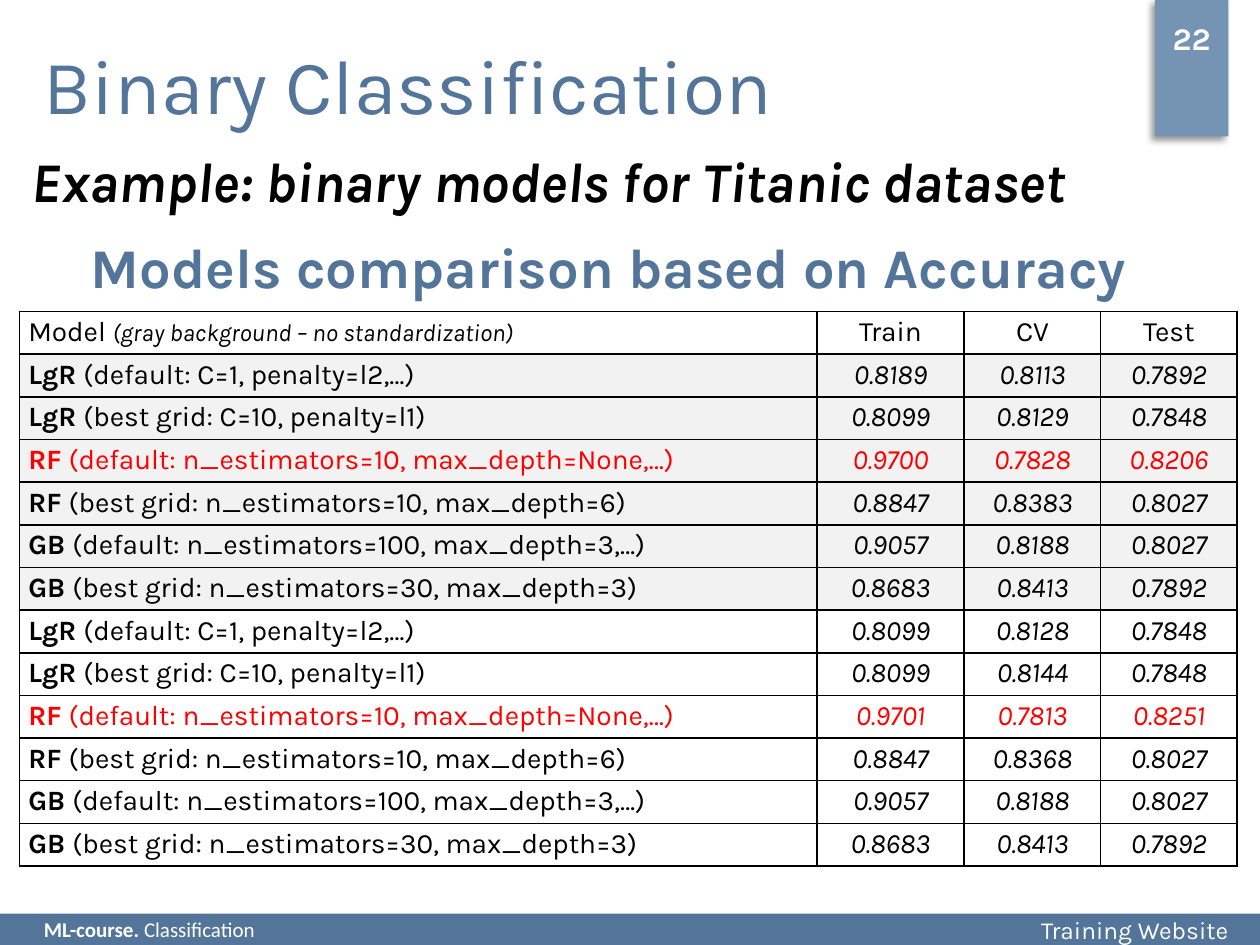
"""Build a slide comparing the accuracy of binary classification models."""
from lxml import etree
from pptx import Presentation
from pptx import util as u
from pptx.dml.color import RGBColor
from pptx.enum import shapes, text
from pptx.oxml import ns

COLORS = {
    "navy": "54759A", "steel": "7593B3", "white": "FFFFFF",
    "black": "000000", "red": "FF0000", "gray": "F2F2F2",
}
ALIGN = text.PP_ALIGN
MIDDLE = text.MSO_ANCHOR.MIDDLE
COLUMN_WIDTHS = (455.8, 84.2, 78, 78)
ROW_HEIGHT = 24.1
HEADINGS = ("Train", "CV", "Test")
MODELS = (
    ("LgR", "(default: C=1, penalty=l2,…)"),
    ("LgR", "(best grid: C=10, penalty=l1)"),
    ("RF", "(default: n_estimators=10, max_depth=None,…)"),
    ("RF", "(best grid: n_estimators=10, max_depth=6)"),
    ("GB", "(default: n_estimators=100, max_depth=3,…)"),
    ("GB", "(best grid: n_estimators=30, max_depth=3)"),
)
HIGHLIGHTED = 2
RAW_SCORES = (
    ("0.8189", "0.8113", "0.7892"),
    ("0.8099", "0.8129", "0.7848"),
    ("0.9700", "0.7828", "0.8206"),
    ("0.8847", "0.8383", "0.8027"),
    ("0.9057", "0.8188", "0.8027"),
    ("0.8683", "0.8413", "0.7892"),
)
STANDARDIZED_SCORES = (
    ("0.8099", "0.8128", "0.7848"),
    ("0.8099", "0.8144", "0.7848"),
    ("0.9701", "0.7813", "0.8251"),
    ("0.8847", "0.8368", "0.8027"),
    ("0.9057", "0.8188", "0.8027"),
    ("0.8683", "0.8413", "0.7892"),
)


def color(name):
    return RGBColor.from_string(COLORS[name])


def write(paragraph, runs, size, ink, font="Karla", align=ALIGN.LEFT):
    paragraph.alignment = align
    for words, style in runs:
        run = paragraph.add_run()
        run.text = words
        run.font.name = font
        run.font.size = u.Pt(style.get("size", size))
        run.font.bold = style.get("bold", False)
        run.font.italic = style.get("italic", False)
        run.font.color.rgb = color(ink)


def add_bar(slide, box, fill):
    shape = slide.shapes.add_shape(shapes.MSO_SHAPE.RECTANGLE, *map(u.Pt, box))
    shape.shadow.inherit = False
    shape.fill.solid()
    shape.fill.fore_color.rgb = color(fill)
    shape.line.fill.background()
    return shape


def add_shadow(shape):
    effects = shape.element.spPr.find(ns.qn("a:effectLst"))
    shadow = etree.SubElement(
        effects, ns.qn("a:outerShdw"), blurRad=str(u.Pt(4)), dist=str(u.Pt(3)),
        dir=str(135 * 60000), algn="tr", rotWithShape="0")
    tint = etree.SubElement(shadow, ns.qn("a:srgbClr"), val=COLORS["black"])
    etree.SubElement(tint, ns.qn("a:alpha"), val="40000")


def add_label(slide, box, runs, size, ink, anchor=MIDDLE, **options):
    shape = slide.shapes.add_textbox(*map(u.Pt, box))
    frame = shape.text_frame
    frame.word_wrap = True
    frame.vertical_anchor = anchor
    write(frame.paragraphs[0], runs, size, ink, **options)


def add_borders(cell):
    properties = cell._tc.get_or_add_tcPr()
    for side in "LRTB":
        line = etree.SubElement(properties, ns.qn(f"a:ln{side}"), w=str(u.Pt(1)))
        fill = etree.SubElement(line, ns.qn("a:solidFill"))
        etree.SubElement(fill, ns.qn("a:srgbClr"), val=COLORS["black"])


def fill_cell(cell, runs, ink, background, align):
    cell.margin_left = cell.margin_right = u.Pt(5.2)
    cell.margin_top = cell.margin_bottom = u.Pt(2.6)
    add_borders(cell)
    if background:
        cell.fill.solid()
        cell.fill.fore_color.rgb = color(background)
    else:
        cell.fill.background()
    write(cell.text_frame.paragraphs[0], runs, 16, ink, align=align)


def table_rows():
    note = ("(gray background – no standardization)", {"size": 14, "italic": True})
    yield [("Model ", {}), note], HEADINGS, {}, "black", None
    for scores, background in ((RAW_SCORES, "gray"), (STANDARDIZED_SCORES, None)):
        for index, ((name, settings), values) in enumerate(zip(MODELS, scores)):
            ink = "red" if index == HIGHLIGHTED else "black"
            label = [(name + " ", {"bold": True}), (settings, {})]
            yield label, values, {"italic": True}, ink, background


def add_score_table(slide, left, top):
    rows = list(table_rows())
    frame = slide.shapes.add_table(
        len(rows), len(COLUMN_WIDTHS), u.Pt(left), u.Pt(top),
        u.Pt(sum(COLUMN_WIDTHS)), u.Pt(ROW_HEIGHT * len(rows)))
    table = frame.table
    table.first_row = table.horz_banding = False
    for column, width in zip(table.columns, COLUMN_WIDTHS):
        column.width = u.Pt(width)
    for row, (label, values, style, ink, background) in zip(table.rows, rows):
        row.height = u.Pt(ROW_HEIGHT)
        cells = list(row.cells)
        fill_cell(cells[0], label, ink, background, ALIGN.LEFT)
        for cell, value in zip(cells[1:], values):
            fill_cell(cell, [(value, style)], ink, background, ALIGN.CENTER)


def main():
    presentation = Presentation()
    presentation.slide_width, presentation.slide_height = u.Pt(720), u.Pt(540)
    slide = presentation.slides.add_slide(presentation.slide_layouts[6])
    bold = {"bold": True}

    add_shadow(add_bar(slide, (660, 0, 42, 78), "steel"))
    footer = add_bar(slide, (0, 522, 720, 18), "navy")
    footer.text_frame.margin_right = u.Pt(18)
    footer.text_frame.vertical_anchor = MIDDLE
    write(footer.text_frame.paragraphs[0], [("Training Website", {})], 14, "white",
          align=ALIGN.RIGHT)

    add_label(slide, (11, 80, 690, 46),
              [("Example: binary models for Titanic dataset",
                {"bold": True, "italic": True})],
              32, "black", anchor=text.MSO_ANCHOR.TOP)
    add_label(slide, (18, 16.5, 630, 63), [("Binary Classification", {})], 44, "navy")
    add_label(slide, (660, 7.5, 42, 28.5), [("22", bold)], 18, "white",
              align=ALIGN.CENTER)
    add_label(slide, (36, 132.5, 624, 39),
              [("Models comparison based on Accuracy", bold)], 32, "navy",
              align=ALIGN.CENTER)
    add_score_table(slide, 11, 178)
    add_label(slide, (18, 522, 486, 18),
              [("ML-course. ", bold), ("Classification", {})], 12, "white",
              font="Calibri")
    presentation.save("out.pptx")


main()
